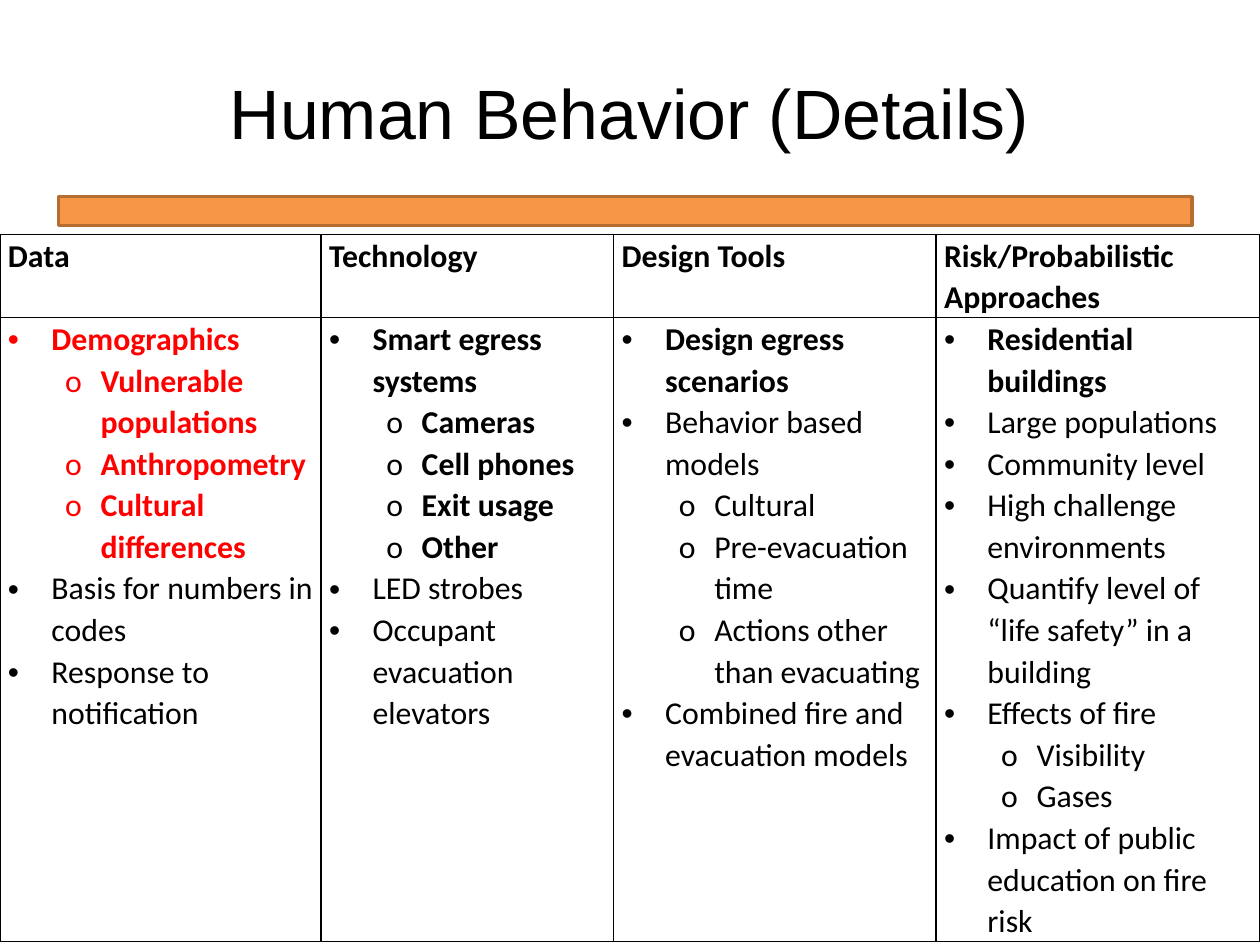
from lxml.etree import SubElement
from pptx import Presentation
from pptx.dml.color import RGBColor
from pptx.enum.shapes import MSO_SHAPE
from pptx.enum.text import MSO_ANCHOR, MSO_AUTO_SIZE, PP_ALIGN
from pptx.oxml import parse_xml
from pptx.oxml.ns import nsdecls, qn
from pptx.util import Cm, Inches, Pt

# Content: each topic has a heading, a width and items of (style, level, text)
TITLE = "Human Behavior (Details)"
TOPICS = [
    ("Data", 2.81, [
        ("urgent", 0, "Demographics"),
        ("urgent", 1, "Vulnerable populations"),
        ("urgent", 1, "Anthropometry"),
        ("urgent", 1, "Cultural differences"),
        ("plain", 0, "Basis for numbers in codes"),
        ("plain", 0, "Response to notification"),
    ]),
    ("Technology", 2.56, [
        ("strong", 0, "Smart egress systems"),
        ("strong", 1, "Cameras"),
        ("strong", 1, "Cell phones"),
        ("strong", 1, "Exit usage"),
        ("strong", 1, "Other"),
        ("plain", 0, "LED strobes"),
        ("plain", 0, "Occupant evacuation elevators"),
    ]),
    ("Design Tools", 2.82, [
        ("strong", 0, "Design egress scenarios"),
        ("plain", 0, "Behavior based models"),
        ("plain", 1, "Cultural"),
        ("plain", 1, "Pre-evacuation time"),
        ("plain", 1, "Actions other than evacuating"),
        ("plain", 0, "Combined fire and evacuation models"),
    ]),
    ("Risk/Probabilistic Approaches", 2.83, [
        ("strong", 0, "Residential buildings"),
        ("plain", 0, "Large populations"),
        ("plain", 0, "Community level"),
        ("plain", 0, "High challenge environments"),
        ("plain", 0, "Quantify level of “life safety” in a building"),
        ("plain", 0, "Effects of fire"),
        ("plain", 1, "Visibility"),
        ("plain", 1, "Gases"),
        ("plain", 0, "Impact of public education on fire risk"),
    ]),
]
ROW_HEIGHTS = [0.71, 5.35]


# Look
class Theme:
    paper = RGBColor(0xFF, 0xFF, 0xFF)
    ink = RGBColor(0, 0, 0)
    alert = RGBColor(0xFF, 0, 0)
    bar = RGBColor(0xF7, 0x96, 0x46)
    bar_edge = RGBColor(0xB6, 0x6D, 0x31)
    title_font, body_font = "Arial", "Calibri"
    title_size, body_size = Pt(44), Pt(20)
    title_spacing, body_spacing = 0.93, 1.07
    border = Pt(1)


STYLES = {
    "plain": (False, Theme.ink),
    "strong": (True, Theme.ink),
    "urgent": (True, Theme.alert),
}
# Symbol, font, margin and indent of each level
BULLETS = [("•", Theme.title_font, 0.38, -0.38), ("o", Theme.body_font, 0.81, -0.31)]


def set_all(target, values):
    for name, value in values.items():
        setattr(target, name, value)


def box_of(left, top, width, height):
    return dict(left=Inches(left), top=Inches(top),
                width=Inches(width), height=Inches(height))


def write(para, text, font, size, spacing, bold, color):
    para.line_spacing = spacing
    span = para.add_run()
    span.text = text
    set_all(span.font, dict(name=font, size=size, bold=bold))
    span.font.color.rgb = color


def write_body(para, text, style):
    write(para, text, Theme.body_font, Theme.body_size, Theme.body_spacing, *STYLES[style])


def add_bullet(para, level):
    symbol, font, margin, indent = BULLETS[level]
    para.level = level
    properties = para._p.get_or_add_pPr()
    properties.set("marL", str(Inches(margin)))
    properties.set("indent", str(Inches(indent)))
    SubElement(properties, qn("a:buFont")).set("typeface", font)
    SubElement(properties, qn("a:buChar")).set("char", symbol)


def format_cell(cell):
    set_all(cell, dict(margin_left=Inches(0.07), margin_right=Inches(0.07),
                       margin_top=0, margin_bottom=0, vertical_anchor=MSO_ANCHOR.TOP))
    cell.fill.solid()
    cell.fill.fore_color.rgb = Theme.paper
    properties = cell._tc.get_or_add_tcPr()
    for order, side in enumerate(("lnL", "lnR", "lnT", "lnB")):
        properties.insert(order, parse_xml(
            f'<a:{side} {nsdecls("a")} w="{Theme.border}"><a:solidFill>'
            f'<a:srgbClr val="{Theme.ink}"/></a:solidFill></a:{side}>'))


# Title
def add_title(page):
    box = page.shapes.title
    set_all(box, box_of(0.55, 0.33, 9.92, 1.38))
    frame = box.text_frame
    set_all(frame, dict(margin_left=0, margin_right=0, margin_top=0, margin_bottom=0,
                        vertical_anchor=MSO_ANCHOR.MIDDLE, word_wrap=True,
                        auto_size=MSO_AUTO_SIZE.NONE))
    para = frame.paragraphs[0]
    para.alignment = PP_ALIGN.CENTER
    write(para, TITLE, Theme.title_font, Theme.title_size, Theme.title_spacing,
          False, Theme.ink)


# Bar under the title
def add_bar(page):
    bar = page.shapes.add_shape(MSO_SHAPE.RECTANGLE, **box_of(0.51, 1.72, 9.92, 0.25))
    bar.shadow.inherit = False
    bar.fill.solid()
    bar.fill.fore_color.rgb = Theme.bar
    bar.line.color.rgb = Theme.bar_edge
    bar.line.width = Pt(2)


# Table of topics
def add_topics(page):
    total_width = sum(width for _, width, _ in TOPICS)
    table = page.shapes.add_table(len(ROW_HEIGHTS), len(TOPICS),
                                  **box_of(0, 2.05, total_width, sum(ROW_HEIGHTS))).table
    set_all(table, dict(first_row=False, horz_banding=False))
    for row, height in zip(table.rows, ROW_HEIGHTS):
        row.height = Inches(height)
    for column, (heading, width, items) in enumerate(TOPICS):
        table.columns[column].width = Inches(width)
        head, body = table.cell(0, column), table.cell(1, column)
        format_cell(head)
        format_cell(body)
        write_body(head.text_frame.paragraphs[0], heading, "strong")
        frame = body.text_frame
        for number, (style, level, text) in enumerate(items):
            para = frame.add_paragraph() if number else frame.paragraphs[0]
            write_body(para, text, style)
            add_bullet(para, level)


def main():
    deck = Presentation()
    deck.slide_width = Cm(28)
    deck.slide_height = Cm(21)
    page = deck.slides.add_slide(deck.slide_layouts[5])
    page.background.fill.solid()
    page.background.fill.fore_color.rgb = Theme.paper
    add_title(page)
    add_bar(page)
    add_topics(page)
    deck.save("out.pptx")


if __name__ == "__main__":
    main()
